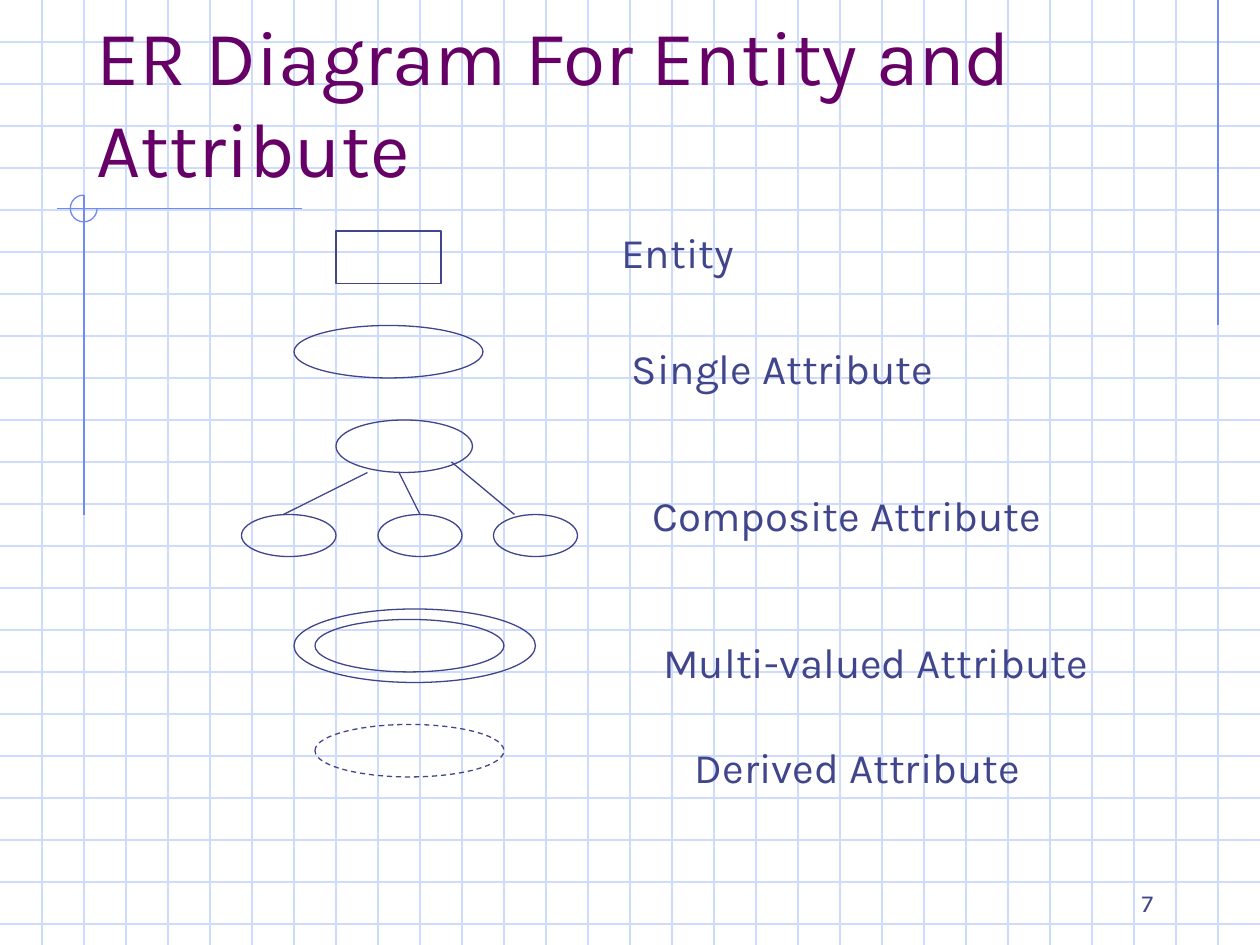
from pptx import Presentation
from pptx.dml.color import RGBColor
from pptx.enum.dml import MSO_LINE
from pptx.enum.shapes import MSO_CONNECTOR, MSO_SHAPE
from pptx.enum.text import MSO_ANCHOR as ANCHOR, MSO_AUTO_SIZE as FIT, PP_ALIGN as ALIGN
from pptx.oxml.ns import qn
from pptx.util import Pt
from lxml.etree import SubElement

WIDTH, HEIGHT, CELL = 720, 540, 24
GRID, ACCENT, INK, PLUM = "CFDBFD", "6F89F7", "40458C", "660066"


def rgb(value):
    return RGBColor.from_string(value)


class Painter:
    """Holds the style and the current slide; all lengths are in points."""
    font = "Karla"
    weight = 0.75

    def __init__(self, slide):
        self.slide = slide
        self.shapes = slide.shapes

    def stroke(self, sp, color):
        sp.line.color.rgb = rgb(color)
        sp.line.width = Pt(self.weight)

    def line(self, x1, y1, x2, y2, color=INK):
        sp = self.shapes.add_connector(
            MSO_CONNECTOR.STRAIGHT, Pt(x1), Pt(y1), Pt(x2), Pt(y2))
        self.stroke(sp, color)
        SubElement(sp.element.spPr, qn("a:effectLst"))

    def outline(self, kind, x, y, w, h, color=INK, dash=None):
        sp = self.shapes.add_shape(kind, Pt(x), Pt(y), Pt(w), Pt(h))
        sp.shadow.inherit = False
        sp.fill.background()
        self.stroke(sp, color)
        if dash:
            sp.line.dash_style = dash
        return sp

    def set_text(self, tf, text, size, color, align=ALIGN.LEFT, before=0):
        tf.word_wrap = True
        tf.text = text
        p = tf.paragraphs[0]
        p.alignment = align
        p.space_before = Pt(before)
        font = p.runs[0].font
        font.name, font.size = self.font, Pt(size)
        font.color.rgb = rgb(color)

    def title(self, text, x, y, w, h):
        sp = self.shapes.title
        sp.left, sp.top, sp.width, sp.height = Pt(x), Pt(y), Pt(w), Pt(h)
        tf = sp.text_frame
        self.set_text(tf, text, 44, PLUM)
        tf.auto_size = FIT.NONE
        tf.vertical_anchor = ANCHOR.BOTTOM
        # Bring the title in front of the grid
        sp.element.getparent().append(sp.element)

    def label(self, text, x, y, w, h=36):
        tf = self.shapes.add_textbox(Pt(x), Pt(y), Pt(w), Pt(h)).text_frame
        self.set_text(tf, text, 24, INK, before=15)
        tf.auto_size = FIT.SHAPE_TO_FIT_TEXT

    def page_number(self, text, x, y, w, h):
        tf = self.shapes.add_textbox(Pt(x), Pt(y), Pt(w), Pt(h)).text_frame
        self.set_text(tf, text, 14, INK, ALIGN.RIGHT)
        tf.vertical_anchor = ANCHOR.BOTTOM


def main():
    prs = Presentation()
    prs.slide_width, prs.slide_height = Pt(WIDTH), Pt(HEIGHT)
    s = Painter(prs.slides.add_slide(prs.slide_layouts[5]))

    # Background grid
    for y in range(CELL, HEIGHT, CELL):
        s.line(0, y, WIDTH, y, GRID)
    for x in range(CELL, WIDTH, CELL):
        s.line(x, 0, x, HEIGHT, GRID)

    # Accent lines and the three-quarter arc at their crossing
    s.line(696, 0, 696, 186, ACCENT)
    s.line(172.8, 119.3, 32.4, 119.3, ACCENT)
    s.line(48, 111.5, 48, 294.5, ACCENT)
    arc = s.outline(MSO_SHAPE.ARC, 40.2, 111.5, 15.3, 15.3, ACCENT)
    arc.adjustments[0], arc.adjustments[1] = 0, 162  # 0 to 270 degrees

    s.page_number("7", 516, 492, 150, 36)
    s.title("ER Diagram For Entity and Attribute", 48, 24, 612, 90)

    # Entity
    s.outline(MSO_SHAPE.RECTANGLE, 192, 132, 60, 30)
    s.label("Entity", 348, 126, 120)

    # Single attribute
    oval = MSO_SHAPE.OVAL
    s.outline(oval, 168, 186, 108, 30)
    s.label("Single Attribute", 354, 192, 204)

    # Composite attribute: a parent and three parts
    s.outline(oval, 192, 240, 78, 30)
    for x, w in ((138, 54), (216, 48), (282, 48)):
        s.outline(oval, x, 294, w, 24)
    for x1, y1, x2 in ((210, 270, 162), (228, 270, 240), (258, 264, 294)):
        s.line(x1, y1, x2, 294)
    s.label("Composite Attribute", 366, 276, 252)

    # Multi-valued attribute
    s.outline(oval, 180, 354, 108, 30)
    s.outline(oval, 168, 348, 138, 42)
    s.label("Multi-valued Attribute", 372, 360, 258, 65)

    # Derived attribute
    s.outline(oval, 180, 414, 108, 30, dash=MSO_LINE.DASH)
    s.label("Derived Attribute", 390, 420, 216)

    prs.save("out.pptx")


if __name__ == "__main__":
    main()
